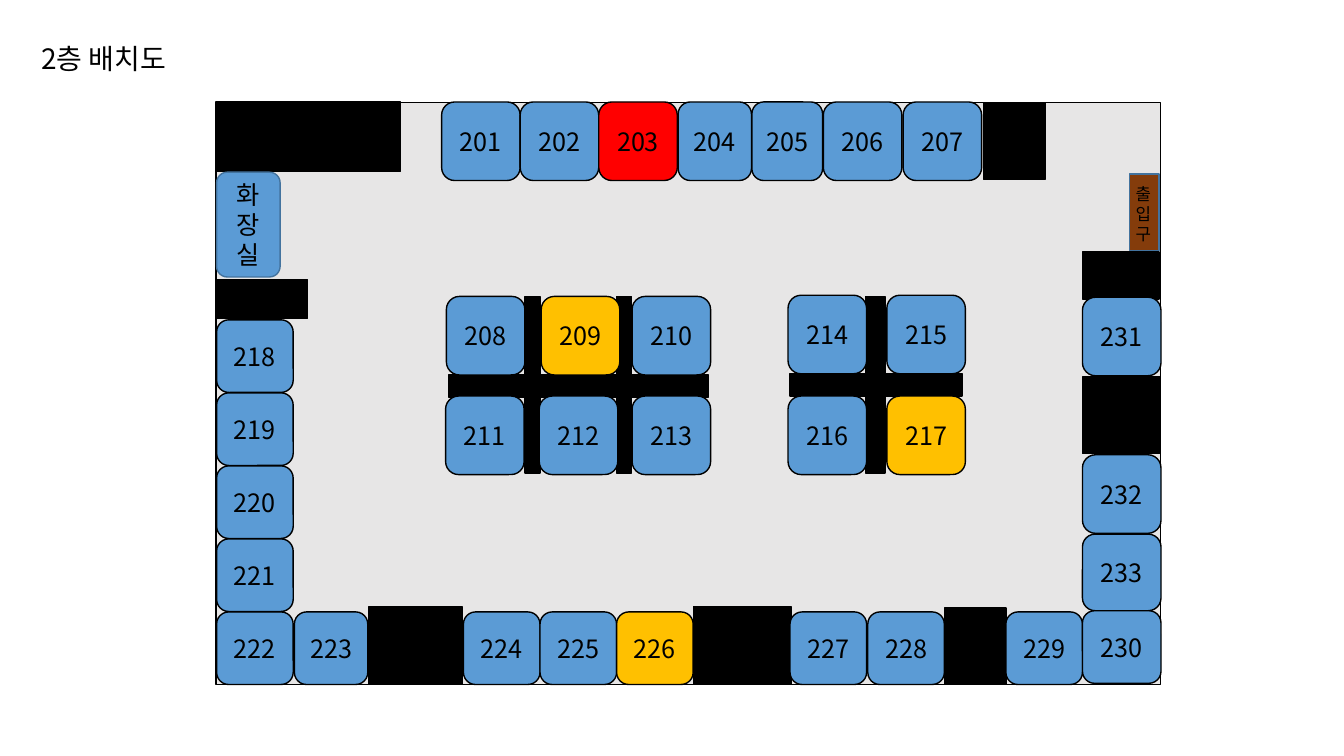
from dataclasses import dataclass

from lxml.etree import SubElement
from pptx import Presentation
from pptx.dml.color import RGBColor
from pptx.enum.shapes import MSO_SHAPE
from pptx.enum.text import MSO_ANCHOR, PP_ALIGN
from pptx.oxml.ns import qn
from pptx.util import Cm, Pt


@dataclass(frozen=True)
class Theme:
    font: str = "Noto Sans CJK KR"
    ink: str = "000000"
    floor: str = "E7E6E6"
    room: str = "5B9BD5"
    red: str = "FF0000"
    amber: str = "FFC000"
    door: str = "843C0B"
    edge: str = "43739E"
    title_size: int = 20
    room_size: int = 18
    door_size: int = 12


class FloorPlan:
    def __init__(self, slide, theme):
        self.slide = slide
        self.theme = theme

    def fill_text(self, tf, lines, size, align, spacing, **frame):
        margins = dict.fromkeys(
            ("margin_left", "margin_right", "margin_top", "margin_bottom"), 0)
        for name, value in {"word_wrap": True, **margins, **frame}.items():
            setattr(tf, name, value)
        for i, line in enumerate(lines):
            p = tf.paragraphs[0] if i == 0 else tf.add_paragraph()
            for name, value in {"alignment": align, "line_spacing": spacing,
                                "space_before": Pt(0)}.items():
                setattr(p, name, value)
            r = p.add_run()
            r.text = line
            for name, value in {"size": Pt(size), "bold": False,
                                "name": self.theme.font}.items():
                setattr(r.font, name, value)
            r.font.color.rgb = RGBColor.from_string(self.theme.ink)
            SubElement(r._r.get_or_add_rPr(), qn("a:ea"), typeface=self.theme.font)

    def title(self, text, left, top, width, height):
        sp = self.slide.shapes.title
        for name, value in {"left": left, "top": top,
                            "width": width, "height": height}.items():
            setattr(sp, name, Cm(value))
        self.fill_text(sp.text_frame, [text], self.theme.title_size, PP_ALIGN.LEFT, 0.8,
                       vertical_anchor=MSO_ANCHOR.TOP,
                       margin_left=Cm(0.25), margin_top=Cm(0.13))

    def box(self, left, top, width, height, fill, edge=None, kind=MSO_SHAPE.RECTANGLE):
        sp = self.slide.shapes.add_shape(
            kind, Cm(left), Cm(top), Cm(width), Cm(height))
        sp.shadow.inherit = False
        sp.fill.solid()
        sp.fill.fore_color.rgb = RGBColor.from_string(fill)
        sp.line.color.rgb = RGBColor.from_string(edge or self.theme.ink)
        sp.line.width = Pt(1)
        return sp

    def room(self, lines, left, top, width, height, fill=None, edge=None):
        sp = self.box(left, top, width, height, fill or self.theme.room, edge,
                      MSO_SHAPE.ROUNDED_RECTANGLE)
        self.fill_text(sp.text_frame, lines, self.theme.room_size, PP_ALIGN.CENTER, 1,
                       vertical_anchor=MSO_ANCHOR.MIDDLE)

    def label(self, text, left, top, width, height):
        sp = self.slide.shapes.add_textbox(Cm(left), Cm(top), Cm(width), Cm(height))
        self.fill_text(sp.text_frame, [text], self.theme.door_size, PP_ALIGN.LEFT, 1,
                       margin_left=Cm(0.25), margin_top=Cm(0.13))


WALLS = [
    (5.44, 7.04, 2.31, 0.99), (27.28, 6.35, 1.93, 1.19), (27.28, 9.5, 1.96, 1.93),
    (9.3, 15.29, 2.34, 1.96), (17.48, 15.29, 2.46, 1.96), (23.8, 15.32, 1.55, 1.93),
    (13.23, 7.47, 0.38, 4.45), (15.54, 7.47, 0.38, 4.45), (11.3, 9.45, 6.55, 0.56),
    (19.91, 9.42, 4.34, 0.56), (21.82, 7.47, 0.48, 4.45), (24.79, 2.59, 1.55, 1.93),
    (5.44, 2.57, 4.65, 1.75),
]
WIDE, MID, LOW = 1.98, 1.93, 1.83
ROWS = [
    (201, 2.57, WIDE, [11.13, 13.11, 15.09, 17.09, 18.95, 20.75, 22.76]),
    (208, 7.47, WIDE, [11.25, 13.64, 15.93]),
    (211, 9.98, WIDE, [11.23, 13.59, 15.93]),
    (214, 7.44, WIDE, [19.86, 22.35]),
    (216, 9.98, WIDE, [19.86, 22.35]),
    (222, 15.42, LOW, [5.46, 7.42, 11.68, 13.61, 15.54, 19.91, 21.87, 25.35]),
]
NARROW = {204: 1.85, 205: 1.78, 223: 1.85}
RIGHT_COLUMN = [(231, 7.49, WIDE), (232, 11.46, WIDE), (233, 13.46, MID), (230, 15.39, LOW)]


def main():
    prs = Presentation()
    prs.slide_width, prs.slide_height = Cm(33.87), Cm(19.05)
    theme = Theme()
    plan = FloorPlan(prs.slides.add_slide(prs.slide_layouts[5]), theme)
    status = {203: theme.red, 209: theme.amber, 217: theme.amber, 226: theme.amber}

    plan.title("2층 배치도", 0.79, 1.09, 4.65, 0.97)
    plan.box(5.44, 2.59, 23.8, 14.66, theme.floor)
    for wall in WALLS:
        plan.box(*wall, theme.ink)

    for first, top, height, lefts in ROWS:
        for number, left in enumerate(lefts, first):
            width = NARROW.get(number, MID if height == LOW else WIDE)
            plan.room([str(number)], left, top, width, height, status.get(number))
    for i in range(4):
        plan.room([str(218 + i)], 5.46, 8.06 + 1.84 * i, MID, LOW)
    for number, top, height in RIGHT_COLUMN:
        plan.room([str(number)], 27.28, top, WIDE, height)

    plan.room("화장실", 5.46, 4.34, 1.6, 2.64, edge=theme.edge)
    plan.box(28.47, 4.39, 0.74, 1.93, theme.door, theme.edge)
    plan.label("출입구", 28.37, 4.5, 0.51, 1.8)
    prs.save("out.pptx")


if __name__ == "__main__":
    main()
